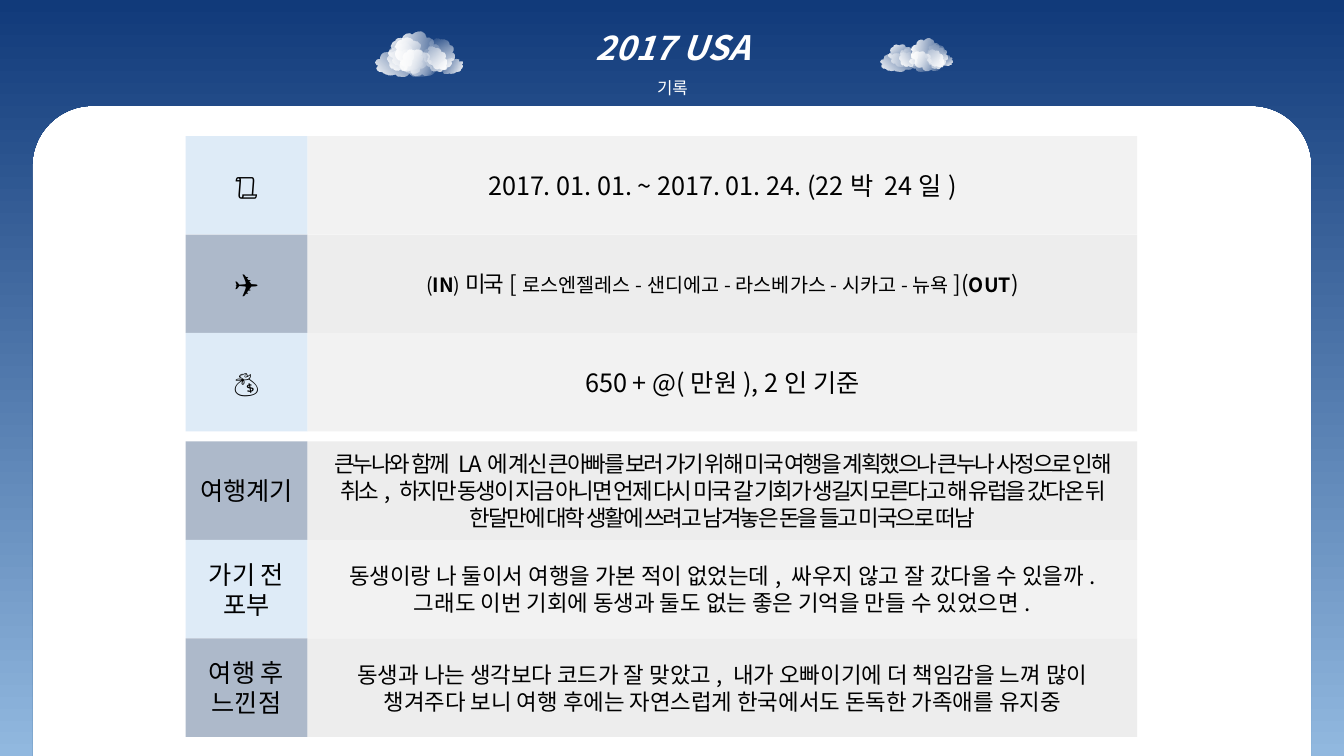
from math import cos, sin, radians
from lxml.etree import SubElement
from pptx import Presentation
from pptx.dml.color import RGBColor
from pptx.enum.shapes import MSO_SHAPE as SHAPE
from pptx.enum.text import MSO_ANCHOR as ANCHOR, MSO_AUTO_SIZE as AUTOSIZE, PP_ALIGN as ALIGN
from pptx.oxml.ns import qn
from pptx.util import Inches, Pt

FONT = "Noto Sans CJK KR"
WIDTH, HEIGHT = 13.33, 7.5
TITLE = [[("2017 USA", 24, "bi", 0)], [("기록", 12, "", 0)]]

ROWS = [
    ("📜", [[("2017. 01. 01. ~ 2017. 01. 24. (22박 24일)", 18, "", 0)]]),
    ("✈", [[
        ("(", 14, "", 0), ("IN", 14, "b", 0), (")", 14, "", 0),
        ("미국", 16, "", -1.5), ("[", 16, "", 0),
        ("로스엔젤레스-샌디에고-라스베가스-시카고-뉴욕", 14, "", 0),
        ("](", 16, "", 0), ("OUT", 14, "b", 0), (")", 16, "", 0),
    ]]),
    ("💰", [[("650 + @(만원), 2인 기준", 18, "", 0)]]),
    ("여행계기", [[(
        "큰누나와 함께 LA에 계신 큰아빠를 보러 가기 위해 미국 여행을 계획했으나 "
        "큰누나 사정으로 인해 취소, 하지만 동생이 지금 아니면 언제 다시 미국 갈 기회가 "
        "생길지 모른다고 해 유럽을 갔다온 뒤 한달만에 대학 생활에 쓰려고 남겨놓은 돈을 "
        "들고 미국으로 떠남", 16, "", -1.5)]]),
    ("가기 전 포부", [[(
        "동생이랑 나 둘이서 여행을 가본 적이 없었는데, 싸우지 않고 잘 갔다올 수 있을까. "
        "그래도 이번 기회에 동생과 둘도 없는 좋은 기억을 만들 수 있었으면.", 16, "", 0)]]),
    ("여행 후 느낀점", [
        [("동생과 나는 생각보다 코드가 잘 맞았고, 내가 오빠이기에 더 책임감을 느껴 많이", 16, "", 0)],
        [("챙겨주다 보니 여행 후에는 자연스럽게 한국에서도 돈독한 가족애를 유지중", 16, "", 0)],
    ]),
]
ROW_FILLS = [("DEEBF7", "F2F2F2"), ("ADB9CA", "EDEDED")]
GRID_LEFT, GRID_TOP, GRID_BOTTOM = 1.84, 1.35, 7.31
LABEL_W, DETAIL_W = 1.21, 8.23
GAP, ROWS_ABOVE_GAP = 0.1, 3

CLOUDS = [
    [(3.72, 0.49, 0.51, 0.27, 0), (3.84, 0.43, 0.26, 0.27, 346.8),
     (3.87, 0.36, 0.31, 0.34, 93.6), (4, 0.47, 0.26, 0.31, 93.6),
     (4.19, 0.48, 0.26, 0.21, 245.5), (4.22, 0.4, 0.3, 0.27, 284.9),
     (4.4, 0.54, 0.15, 0.23, 251.3), (3.91, 0.33, 0.47, 0.43, 53)],
    [(8.73, 0.52, 0.37, 0.19, 0), (8.92, 0.47, 0.18, 0.19, 346.8),
     (8.82, 0.43, 0.22, 0.24, 93.6), (9.04, 0.5, 0.19, 0.22, 93.6),
     (9.18, 0.51, 0.19, 0.15, 245.5), (9.19, 0.45, 0.21, 0.2, 284.9),
     (9.33, 0.53, 0.11, 0.13, 284.9), (9.03, 0.39, 0.34, 0.31, 53)],
]
PANEL_LEFT, PANEL_RIGHT, PANEL_TOP, RADIUS = 0.32, 13.01, 1.05, 0.6


def rgb(value):
    return RGBColor.from_string(value)


def plain(sp):
    sp.shadow.inherit = False
    sp.line.fill.background()


def gradient(sp, first, last, angle):
    sp.fill.gradient()
    sp.fill.gradient_angle = angle
    stops = sp.fill.gradient_stops
    for stop, color in zip(stops, (first, last)):
        stop.color.rgb = rgb(color)


def write(tf, paragraphs, color, spacing=None):
    tf.word_wrap = True
    for i, runs in enumerate(paragraphs):
        p = tf.paragraphs[0] if i == 0 else tf.add_paragraph()
        p.alignment = ALIGN.CENTER
        p.line_spacing = spacing
        for text, size, style, tracking in runs:
            r = p.add_run()
            r.text = text
            f = r.font
            f.name, f.size = FONT, Pt(size)
            f.bold, f.italic = "b" in style, "i" in style
            f.color.rgb = rgb(color)
            rPr = r._r.get_or_add_rPr()
            SubElement(rPr, qn("a:ea"), typeface=FONT)
            if tracking:
                rPr.set("spc", str(int(tracking * 100)))


def add_frame(s):
    arcs = [(PANEL_RIGHT - RADIUS, 0), (PANEL_LEFT + RADIUS, 90)]
    points = [(WIDTH, 0), (WIDTH, HEIGHT), (PANEL_RIGHT, HEIGHT)]
    for center, start in arcs:
        for step in range(0, 91, 3):
            a = radians(start + step)
            points.append((center + RADIUS * cos(a), PANEL_TOP + RADIUS - RADIUS * sin(a)))
    points += [(PANEL_LEFT, HEIGHT), (0, HEIGHT)]
    builder = s.shapes.build_freeform(0, 0)
    builder.add_line_segments([(Inches(x), Inches(y)) for x, y in points])
    sp = builder.convert_to_shape()
    plain(sp)
    gradient(sp, "113A7A", "91B8DF", 270)
    s.shapes._spTree.insert(2, sp._element)


def add_title(s):
    sp = s.shapes.title
    sp.left, sp.top, sp.width, sp.height = map(Inches, (3.78, 0.02, 5.78, 1.01))
    tf = sp.text_frame
    tf.auto_size = AUTOSIZE.NONE
    tf.vertical_anchor = ANCHOR.TOP
    write(tf, TITLE, "FFFFFF", 1.5)


def add_cloud(s, puffs):
    group = s.shapes.add_group_shape()
    for *box, angle in puffs:
        sp = group.shapes.add_shape(SHAPE.CLOUD, *map(Inches, box))
        sp.rotation = angle
        plain(sp)
        gradient(sp, "FFFFFF", "FFFFFF", 45)
        clear = sp._element.spPr.findall(".//" + qn("a:srgbClr"))[1]
        SubElement(clear, qn("a:alpha"), val="0")


def add_cell(s, box, fill, paragraphs):
    sp = s.shapes.add_shape(SHAPE.RECTANGLE, *map(Inches, box))
    plain(sp)
    sp.fill.solid()
    sp.fill.fore_color.rgb = rgb(fill)
    sp.text_frame.vertical_anchor = ANCHOR.MIDDLE
    write(sp.text_frame, paragraphs, "000000")


def main():
    prs = Presentation()
    prs.slide_width, prs.slide_height = Inches(WIDTH), Inches(HEIGHT)
    s = prs.slides.add_slide(prs.slide_layouts[5])
    add_frame(s)
    add_title(s)
    for puffs in CLOUDS:
        add_cloud(s, puffs)
    row_h = (GRID_BOTTOM - GRID_TOP - GAP) / len(ROWS)
    for i, (label, detail) in enumerate(ROWS):
        top = GRID_TOP + i * row_h + (GAP if i >= ROWS_ABOVE_GAP else 0)
        label_fill, detail_fill = ROW_FILLS[i % 2]
        add_cell(s, (GRID_LEFT + LABEL_W, top, DETAIL_W, row_h), detail_fill, detail)
        add_cell(s, (GRID_LEFT, top, LABEL_W, row_h), label_fill, [[(label, 18, "", 0)]])
    prs.save("out.pptx")


if __name__ == "__main__":
    main()
